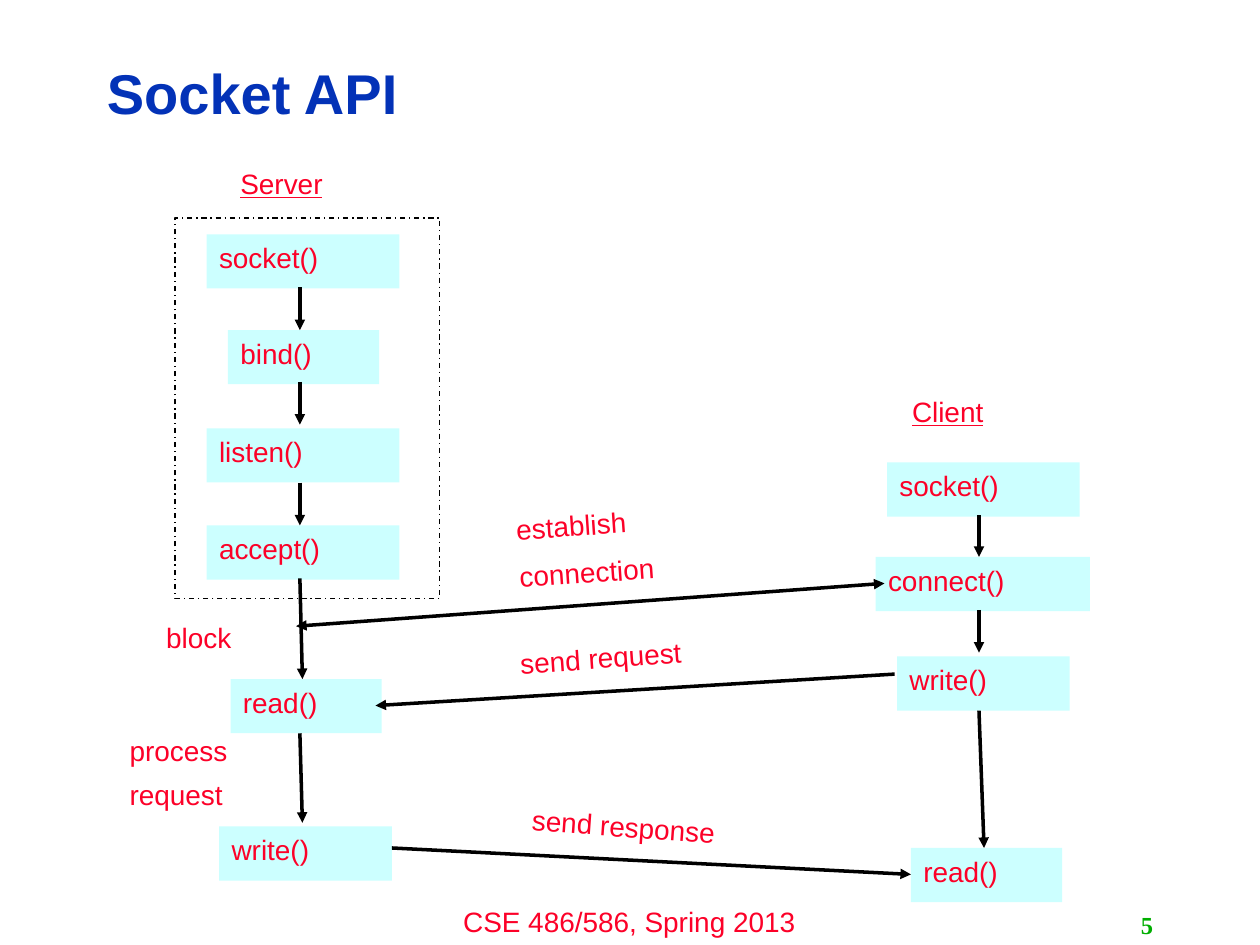
from lxml.etree import SubElement
from pptx import Presentation
from pptx.dml.color import RGBColor
from pptx.enum.dml import MSO_LINE
from pptx.enum.shapes import MSO_CONNECTOR, MSO_SHAPE
from pptx.enum.text import MSO_ANCHOR, PP_ALIGN
from pptx.oxml.ns import qn
from pptx.util import Emu, Pt

EMU_PER_PX = 9144
BOX_HEIGHT = 43
COLORS = {"text": "FC0128", "title": "0332B7", "number": "00AE00",
          "call": "CCFFFF", "line": "000000"}

CALLS = [
    ("socket()", 164, 186, 153), ("bind()", 181, 262, 120),
    ("listen()", 164, 340, 153), ("accept()", 164, 417, 153),
    ("read()", 183, 539, 120), ("write()", 174, 656, 137),
    ("socket()", 704, 367, 153), ("connect()", 695, 442, 170),
    ("write()", 712, 521, 137), ("read()", 723, 673, 120),
]
STEPS = [
    (238, 228, 238, 262), (238, 303, 238, 337), (238, 383, 238, 417),
    (238, 459, 240, 539), (238, 582, 240, 653),
    (777, 409, 777, 442), (777, 484, 777, 518), (777, 564, 781, 673),
]
MESSAGES = [(710, 535, 298, 560), (311, 673, 723, 694)]


def px(length):
    """Turn a length in px into EMU."""
    return Emu(length * EMU_PER_PX)


def color(name):
    """Look up a named colour."""
    return RGBColor.from_string(COLORS[name])


def write_text(shape, lines, size=16, ink="text", font="Arial", bold=False,
               underline=None, align=PP_ALIGN.LEFT, anchor=MSO_ANCHOR.TOP,
               spacing=None):
    """Fill a shape with one paragraph per line."""
    frame = shape.text_frame
    frame.word_wrap = True
    frame.vertical_anchor = anchor
    frame.text = "\n".join(lines)
    for index, paragraph in enumerate(frame.paragraphs):
        paragraph.alignment = align
        paragraph.line_spacing = spacing
        if index:
            paragraph.space_before = Pt(size / 2)
        paragraph.font.name = font
        paragraph.font.size = Pt(size)
        paragraph.font.bold = bold
        paragraph.font.underline = underline
        paragraph.font.color.rgb = color(ink)


def add_label(page, lines, left, top, width, height=BOX_HEIGHT, rotation=0,
              **style):
    """Add a text box, turned if asked."""
    box = page.shapes.add_textbox(px(left), px(top), px(width), px(height))
    box.rotation = rotation
    write_text(box, lines, **style)


def add_rectangle(page, left, top, width, height):
    """Add a rectangle without shadow."""
    shape = page.shapes.add_shape(MSO_SHAPE.RECTANGLE, px(left), px(top),
                                  px(width), px(height))
    shape.shadow.inherit = False
    return shape


def add_call(page, name, left, top, width):
    """Add the filled box of one socket call."""
    shape = add_rectangle(page, left, top, width, BOX_HEIGHT)
    shape.fill.solid()
    shape.fill.fore_color.rgb = color("call")
    shape.line.fill.background()
    write_text(shape, [name])


def add_setup_frame(page):
    """Add the dashed frame around the server set-up calls."""
    frame = add_rectangle(page, 139, 173, 210, 302)
    frame.fill.background()
    frame.line.color.rgb = color("line")
    frame.line.width = Pt(0.75)
    frame.line.dash_style = MSO_LINE.DASH_DOT


def add_arrow(page, start_x, start_y, end_x, end_y, both_ends=False):
    """Add an arrow with a triangle at its end, or at both ends."""
    arrow = page.shapes.add_connector(MSO_CONNECTOR.STRAIGHT, px(start_x),
                                      px(start_y), px(end_x), px(end_y))
    arrow.line.color.rgb = color("line")
    arrow.line.width = Pt(2)
    line = arrow.line._get_or_add_ln()
    for end in ("headEnd", "tailEnd") if both_ends else ("tailEnd",):
        SubElement(line, qn(f"a:{end}"), type="triangle")
    SubElement(arrow._element.spPr, qn("a:effectLst"))


def main():
    """Build the socket API slide."""
    deck = Presentation()
    deck.slide_width, deck.slide_height = px(1000), px(750)
    page = deck.slides.add_slide(deck.slide_layouts[6])

    add_label(page, ["CSE 486/586, Spring 2013"], 333, 713, 333, 37,
              align=PP_ALIGN.CENTER)
    add_label(page, ["Socket API"], 75, 36, 798, 81, size=32, ink="title",
              bold=True, anchor=MSO_ANCHOR.MIDDLE, spacing=0.9)
    add_label(page, ["5"], 717, 718, 208, 32, size=14, ink="number",
              font="Times New Roman", bold=True, align=PP_ALIGN.RIGHT,
              anchor=MSO_ANCHOR.MIDDLE)

    for call in CALLS:
        add_call(page, *call)
    add_setup_frame(page)
    for arrow in STEPS + MESSAGES:
        add_arrow(page, *arrow)
    add_arrow(page, 702, 463, 235, 497, both_ends=True)

    add_label(page, ["Server"], 181, 127, 120, underline=True)
    add_label(page, ["Client"], 714, 308, 120, underline=True)
    add_label(page, ["block"], 122, 488, 103)
    add_label(page, ["process", "request"], 93, 580, 137, 70, spacing=0.9)
    add_label(page, ["establish", "connection"], 401, 396, 187, 77,
              rotation=356)
    add_label(page, ["send request"], 403, 501, 220, rotation=356)
    add_label(page, ["send response"], 412, 640, 237, rotation=4.1)
    deck.save("out.pptx")


if __name__ == "__main__":
    main()
